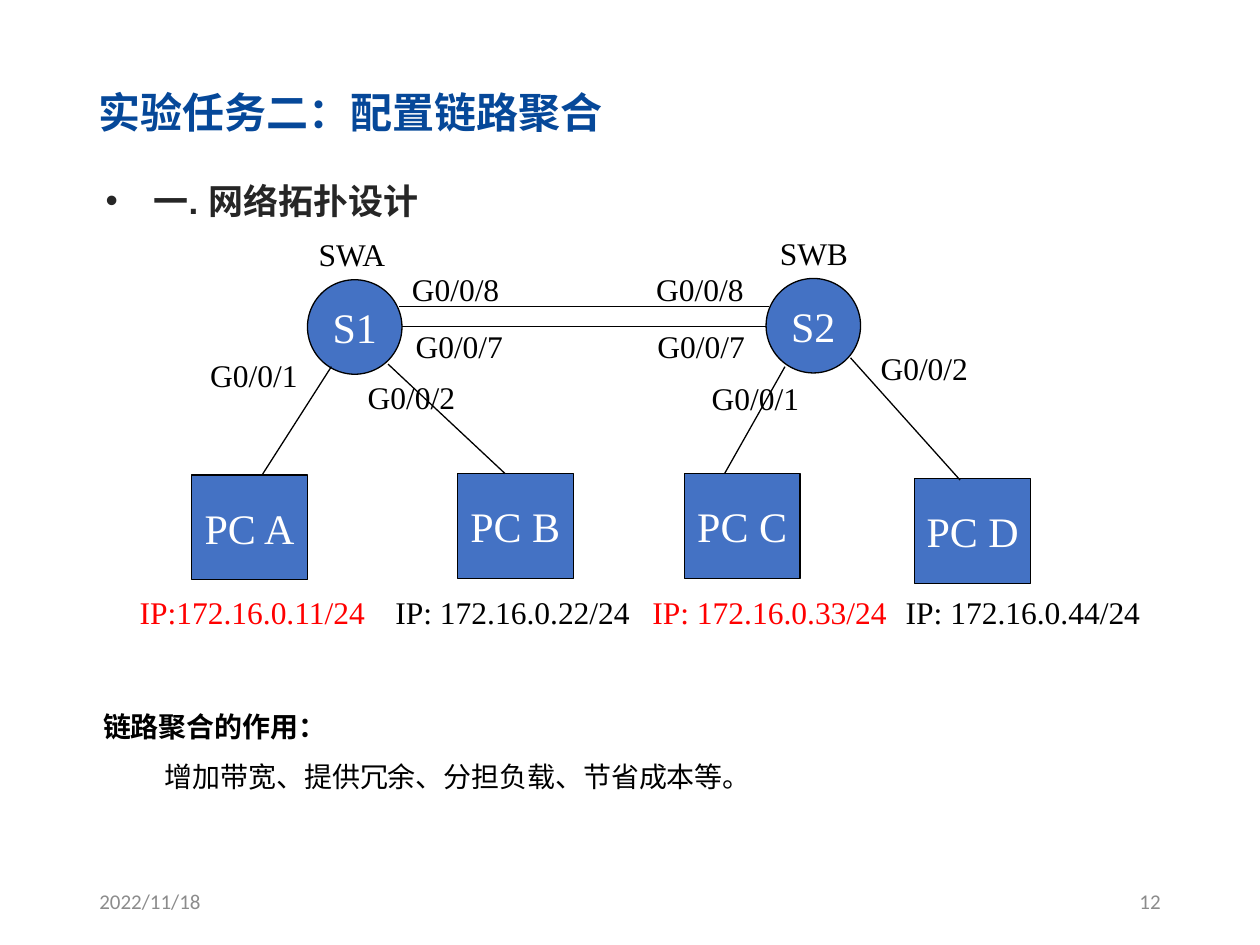
from lxml.etree import SubElement
from pptx import Presentation
from pptx.dml.color import RGBColor as Color
from pptx.enum.shapes import MSO_CONNECTOR as Link, MSO_SHAPE as Shape
from pptx.enum.text import MSO_ANCHOR as Anchor, PP_ALIGN as Align
from pptx.oxml.ns import qn
from pptx.util import Inches, Pt

COLORS = {
    "title": "064899", "heading": "262626", "footer": "8C8C8C",
    "black": "000000", "red": "FF0000", "white": "FFFFFF", "node": "4472C4",
}
COLUMNS, ROWS = 100, 75
SERIF = "Times New Roman"

deck = Presentation()
deck.slide_width, deck.slide_height = Inches(10), Inches(7.5)
column, row = deck.slide_width / COLUMNS, deck.slide_height / ROWS
page = deck.slides.add_slide(deck.slide_layouts[6])


def grid(*cells):
    return [round(cell * (row if index % 2 else column)) for index, cell in enumerate(cells)]


def write(text, place=None, box=None, size=18, font=SERIF, color="black", bold=False,
          align=Align.LEFT, anchor=Anchor.TOP, wrap=True, spacing=None, hanging=0, first=0):
    box = box or page.shapes.add_textbox(*grid(*place))
    frame = box.text_frame
    frame.word_wrap, frame.vertical_anchor = wrap, anchor
    para = frame.paragraphs[0]
    if frame.text:
        para = frame.add_paragraph()
    para.alignment, para.line_spacing = align, spacing
    properties = para._p.get_or_add_pPr()
    if hanging:
        properties.set("marL", str(Inches(hanging)))
        properties.set("indent", str(-Inches(hanging)))
        SubElement(properties, qn("a:buFont")).set("typeface", "Arial")
        SubElement(properties, qn("a:buChar")).set("char", "•")
    elif first:
        properties.set("indent", str(Inches(first)))
    span = para.add_run()
    span.text = text
    span.font.size, span.font.name, span.font.bold = Pt(size), font, bold
    span.font.color.rgb = Color.from_string(COLORS[color])
    return box


footer = dict(size=12, font="Calibri", color="footer", anchor=Anchor.MIDDLE)
write("2022/11/18", (6.9, 69.5, 22.5, 4), **footer)
write("12", (70.6, 69.5, 22.5, 4), align=Align.RIGHT, **footer)
write("实验任务二：配置链路聚合", (6.8, 6.4, 85.2, 5), size=24, font="Arial",
      color="title", bold=True, anchor=Anchor.MIDDLE)
write("一. 网络拓扑设计", (7.4, 12.1, 85.2, 5.5), size=20, font="Arial",
      color="heading", bold=True, spacing=1.5, hanging=0.38)
purpose = write("链路聚合的作用：", (7.2, 54.5, 85.4, 10), size=16, bold=True, spacing=1.5)
write("增加带宽、提供冗余、分担负载、节省成本等。", box=purpose, size=16, spacing=1.5, first=0.49)

switch, computer = (Shape.OVAL, 7.5, 7.5), (Shape.RECTANGLE, 9.2, 8.3)
nodes = [
    ("S1", switch, 24.4, 22.2), ("S2", switch, 60.8, 22.1),
    ("PC A", computer, 15.2, 37.7), ("PC B", computer, 36.3, 37.6),
    ("PC C", computer, 54.3, 37.6), ("PC D", computer, 72.6, 38),
]
for name, (kind, width, height), left, top in nodes:
    node = page.shapes.add_shape(kind, *grid(left, top, width, height))
    node.shadow.inherit = False
    node.fill.solid()
    node.fill.fore_color.rgb = Color.from_string(COLORS["node"])
    node.line.color.rgb = Color.from_string(COLORS["black"])
    node.line.width = Pt(0.75)
    write(name, box=node, size=24, color="white", align=Align.CENTER,
          anchor=Anchor.MIDDLE, wrap=False)

cables = [
    (61, 24.3, 31.7, 24.3), (60.8, 25.9, 31.9, 25.9),
    (20.8, 37.7, 26.3, 29.1), (40.1, 37.6, 30.8, 28.9),
    (62.3, 29.1, 57.5, 37.6), (76.2, 38.1, 67.5, 28.4),
]
for ends in cables:
    cable = page.shapes.add_connector(Link.STRAIGHT, *grid(*ends))
    cable.line.color.rgb = Color.from_string(COLORS["black"])
    cable.line.width = Pt(0.75)
    SubElement(cable._element.spPr, qn("a:effectLst"))

addresses = [
    ("IP:172.16.0.11/24", 10.1, 20.2, "red"), ("IP: 172.16.0.22/24", 30.4, 21.3, "black"),
    ("IP: 172.16.0.33/24", 50.8, 20.7, "red"), ("IP: 172.16.0.44/24", 70.9, 20.7, "black"),
]
for address, left, width, color in addresses:
    write(address, (left, 46.6, width, 4), color=color)

labels = [
    ("SWA", 24.3, 18.2, 9.1, 5), ("SWB", 60.9, 18.1, 9.2, 5),
    ("G0/0/8", 31.7, 20.9, 9.1, 4), ("G0/0/8", 51.1, 20.9, 9.1, 4),
    ("G0/0/7", 32, 25.5, 9, 4), ("G0/0/7", 51.2, 25.5, 9, 4),
    ("G0/0/1", 15.7, 27.8, 10, 4), ("G0/0/2", 28.2, 29.5, 11.4, 4),
    ("G0/0/1", 55.5, 29.6, 9.8, 4), ("G0/0/2", 68.9, 27.2, 10.2, 4),
]
for label, *place in labels:
    write(label, place)

deck.save("out.pptx")
